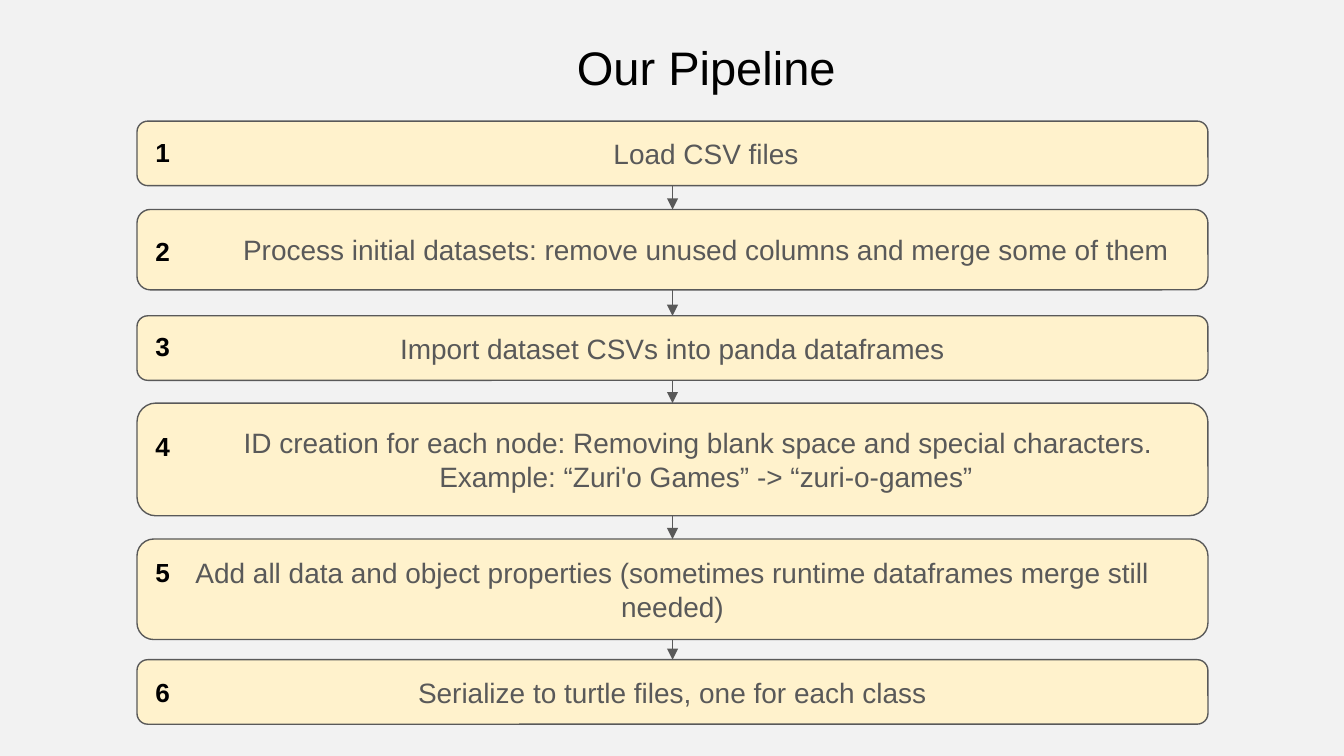
from lxml import etree
from pptx import Presentation
from pptx.dml.color import RGBColor
from pptx.enum.shapes import MSO_CONNECTOR, MSO_SHAPE
from pptx.enum.text import MSO_ANCHOR, PP_ALIGN
from pptx.oxml.ns import qn
from pptx.util import Cm, Pt

STRAIGHT = MSO_CONNECTOR.STRAIGHT
ROUNDED = MSO_SHAPE.ROUNDED_RECTANGLE
MIDDLE, BOTTOM = MSO_ANCHOR.MIDDLE, MSO_ANCHOR.BOTTOM
CENTER = PP_ALIGN.CENTER

# Content: each line is (text, left margin, first-line indent), lengths in cm
TITLE = "Our Pipeline"
STEPS = [
    dict(top=2.29, height=1.22, number_shift=-0.03,
         lines=[("Load CSV files", 0, 1.27)]),
    dict(top=3.96, height=1.52, number_shift=0.18,
         lines=[("Process initial datasets: remove unused columns and merge some of them", 1.27, 0)]),
    dict(top=5.97, height=1.22, number_shift=-0.03,
         lines=[("Import dataset CSVs into panda dataframes", 0, 0)]),
    dict(top=7.62, height=2.13, number_shift=0.2,
         lines=[("ID creation for each node: Removing blank space and special characters.", 0.97, 0),
                ("Example: “Zuri'o Games” -> “zuri-o-games”", 1.27, 0)]),
    dict(top=10.19, height=1.9, number_shift=0.02,
         lines=[("Add all data and object properties (sometimes runtime dataframes merge still needed)", 0, 0)]),
    dict(top=12.47, height=1.22, number_shift=0,
         lines=[("Serialize to turtle files, one for each class", 0, 0)]),
]

# Layout in cm
LEFT, WIDTH = 2.59, 20.24
NUMBER_WIDTH, NUMBER_HEIGHT = 0.97, 1.22
INSET = 0.25
GREY, CREAM, BLACK, PAPER = "595959", "FFF2CC", "000000", "F2F2F2"


def color(value):
    return RGBColor.from_string(value)


def write(box, lines, size, ink, bold=False, anchor=MIDDLE):
    frame = box.text_frame
    frame.word_wrap = True
    frame.vertical_anchor = anchor
    frame.margin_left = frame.margin_right = Cm(INSET)
    frame.margin_top = frame.margin_bottom = Cm(INSET)
    for index, (text, margin, indent) in enumerate(lines):
        para = frame.add_paragraph() if index else frame.paragraphs[0]
        para.alignment = CENTER
        properties = para._p.get_or_add_pPr()
        properties.set("marL", str(Cm(margin)))
        properties.set("indent", str(Cm(indent)))
        span = para.add_run()
        span.text = text
        span.font.name = "Arial"
        span.font.size = Pt(size)
        span.font.bold = bold
        span.font.color.rgb = color(ink)


def add_text(page, text, left, top, width, height, **style):
    box = page.shapes.add_textbox(Cm(left), Cm(top), Cm(width), Cm(height))
    write(box, [(text, 0, 0)], **style)


def add_step(page, step):
    box = page.shapes.add_shape(ROUNDED, Cm(LEFT), Cm(step["top"]), Cm(WIDTH), Cm(step["height"]))
    box.shadow.inherit = False
    box.fill.solid()
    box.fill.fore_color.rgb = color(CREAM)
    box.line.color.rgb = color(GREY)
    box.line.width = Pt(0.75)
    write(box, step["lines"], size=15, ink=GREY)


def add_arrow(page, start, end):
    middle = Cm(LEFT + WIDTH / 2)
    arrow = page.shapes.add_connector(STRAIGHT, middle, Cm(start), middle, Cm(end))
    arrow.line.color.rgb = color(GREY)
    arrow.line.width = Pt(0.75)
    etree.SubElement(arrow.line._get_or_add_ln(), qn("a:tailEnd"), type="triangle")
    etree.SubElement(arrow._element.spPr, qn("a:effectLst"))


def main():
    deck = Presentation()
    deck.slide_width, deck.slide_height = Cm(25.4), Cm(14.29)
    page = deck.slides.add_slide(deck.slide_layouts[6])
    page.background.fill.solid()
    page.background.fill.fore_color.rgb = color(PAPER)

    add_text(page, TITLE, 8.92, 0.53, 8.86, 1.52, size=25.2, ink=BLACK, anchor=BOTTOM)

    # Step boxes
    for step in STEPS:
        add_step(page, step)

    # Arrows from each box to the next
    for step, following in zip(STEPS, STEPS[1:]):
        add_arrow(page, step["top"] + step["height"], following["top"])

    # Step numbers
    for number, step in enumerate(STEPS, 1):
        add_text(page, str(number), LEFT, step["top"] + step["number_shift"],
                 NUMBER_WIDTH, NUMBER_HEIGHT, size=14, ink=BLACK, bold=True)

    deck.save("out.pptx")


if __name__ == "__main__":
    main()
